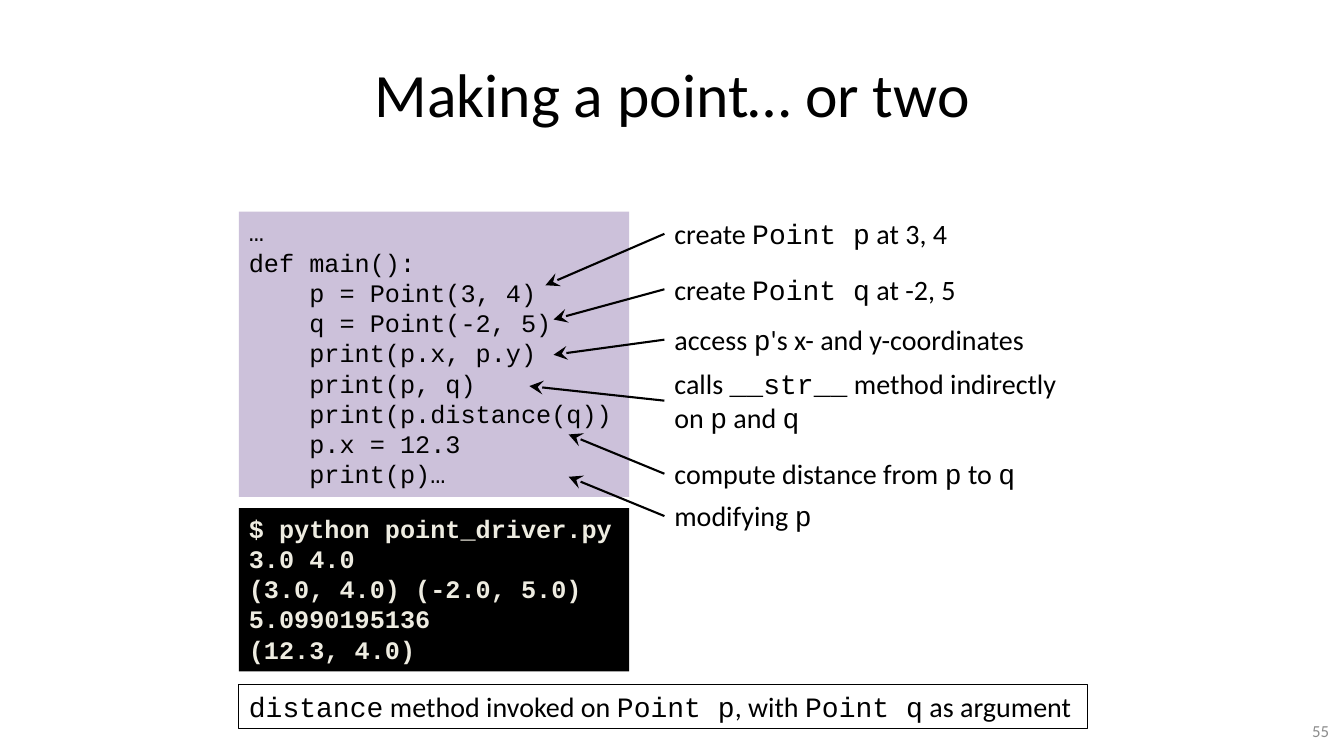
from pptx import Presentation
from pptx.dml.color import RGBColor
from pptx.enum.shapes import MSO_CONNECTOR, MSO_SHAPE
from pptx.enum.text import MSO_ANCHOR, PP_ALIGN
from pptx.oxml.ns import qn
from pptx.util import Inches, Pt
from lxml import etree


def color(hex_value):
    return RGBColor.from_string(hex_value)


def write(tf, lines, size, hex_value="000000", bold=False):
    """Fill a text frame; parts between backticks are set in Courier New."""
    for i, line in enumerate(lines):
        p = tf.paragraphs[0] if i == 0 else tf.add_paragraph()
        for j, part in enumerate(line.split("`")):
            if part:
                r = p.add_run()
                r.text = part
                r.font.name = "Courier New" if j % 2 else "Calibri"
                r.font.size = Pt(size)
                r.font.bold = bold
                r.font.color.rgb = color(hex_value)


prs = Presentation()
prs.slide_width, prs.slide_height = Inches(13.33), Inches(7.5)
s = prs.slides.add_slide(prs.slide_layouts[6])

# Title and slide number
for text, box, size, hex_value, align in [
    ("Making a point… or two", (0.67, 0.3, 12, 1.25), 44, "000000", PP_ALIGN.CENTER),
    ("55", (10.17, 7.05, 3.11, 0.4), 12, "8C8C8C", PP_ALIGN.RIGHT),
]:
    tf = s.shapes.add_textbox(*map(Inches, box)).text_frame
    tf.word_wrap = True
    tf.vertical_anchor = MSO_ANCHOR.MIDDLE
    write(tf, [text], size, hex_value)
    tf.paragraphs[0].alignment = align

# Code, console output and closing remark
code = """…
def main():
    p = Point(3, 4)
    q = Point(-2, 5)
    print(p.x, p.y)
    print(p, q)
    print(p.distance(q))
    p.x = 12.3
    print(p)…"""
output = """$ python point_driver.py
3.0 4.0
(3.0, 4.0) (-2.0, 5.0)
5.0990195136
(12.3, 4.0)"""
remark = "`distance` method invoked on `Point p`, with `Point q` as argument"

for lines, top, width, height, fill, size, hex_value, bold in [
    ([f"`{c}`" for c in code.split("\n")], 2.1, 3.87, 2.83, "CCC1DA", 18, "000000", False),
    ([f"`{c}`" for c in output.split("\n")], 5.04, 3.87, 1.62, "000000", 18, "EEECE1", True),
    ([remark], 6.79, 8.42, 0.44, None, 20, "000000", False),
]:
    sp = s.shapes.add_shape(MSO_SHAPE.RECTANGLE, Inches(2.37), Inches(top),
                            Inches(width), Inches(height))
    sp.shadow.inherit = False
    if fill:
        sp.fill.solid()
        sp.fill.fore_color.rgb = color(fill)
        sp.line.fill.background()
    else:
        sp.fill.background()
        sp.line.color.rgb = color("000000")
        sp.line.width = Pt(0.75)
    tf = sp.text_frame
    tf.word_wrap = bool(fill)
    tf.vertical_anchor = MSO_ANCHOR.TOP
    write(tf, lines, size, hex_value, bold)
    for p in tf.paragraphs:
        p.alignment = PP_ALIGN.LEFT

# Notes, each with an arrow to its line of code
for lines, top, width, height, tip_x, tip_y in [
    (["create `Point p` at 3, 4"], 2.1, 3.01, 0.44, 5.41, 2.83),
    (["create `Point q` at -2, 5"], 2.65, 3.1, 0.44, 5.49, 3.17),
    (["access `p`'s x- and y-coordinates"], 3.15, 3.7, 0.44, 5.49, 3.52),
    (["calls `__str__` method indirectly", "on `p` and `q`"], 3.59, 4.02, 0.77, 5.25, 3.83),
    (["compute distance from `p` to `q`"], 4.48, 3.61, 0.44, 5.64, 4.31),
    (["modifying `p`"], 4.9, 1.57, 0.44, 5.64, 4.73),
]:
    note = s.shapes.add_textbox(Inches(6.59), Inches(top), Inches(width), Inches(height))
    note.text_frame.word_wrap = False
    write(note.text_frame, lines, 20)

    arrow = s.shapes.add_connector(MSO_CONNECTOR.STRAIGHT, Inches(6.59),
                                   Inches(top + height / 2), Inches(tip_x), Inches(tip_y))
    arrow.begin_connect(note, 1)
    arrow.line.color.rgb = color("000000")
    arrow.line.width = Pt(1.5)
    etree.SubElement(arrow.line._get_or_add_ln(), qn("a:tailEnd"),
                     type="stealth", w="lg", len="lg")
    etree.SubElement(arrow._element.spPr, qn("a:effectLst"))

prs.save("out.pptx")
